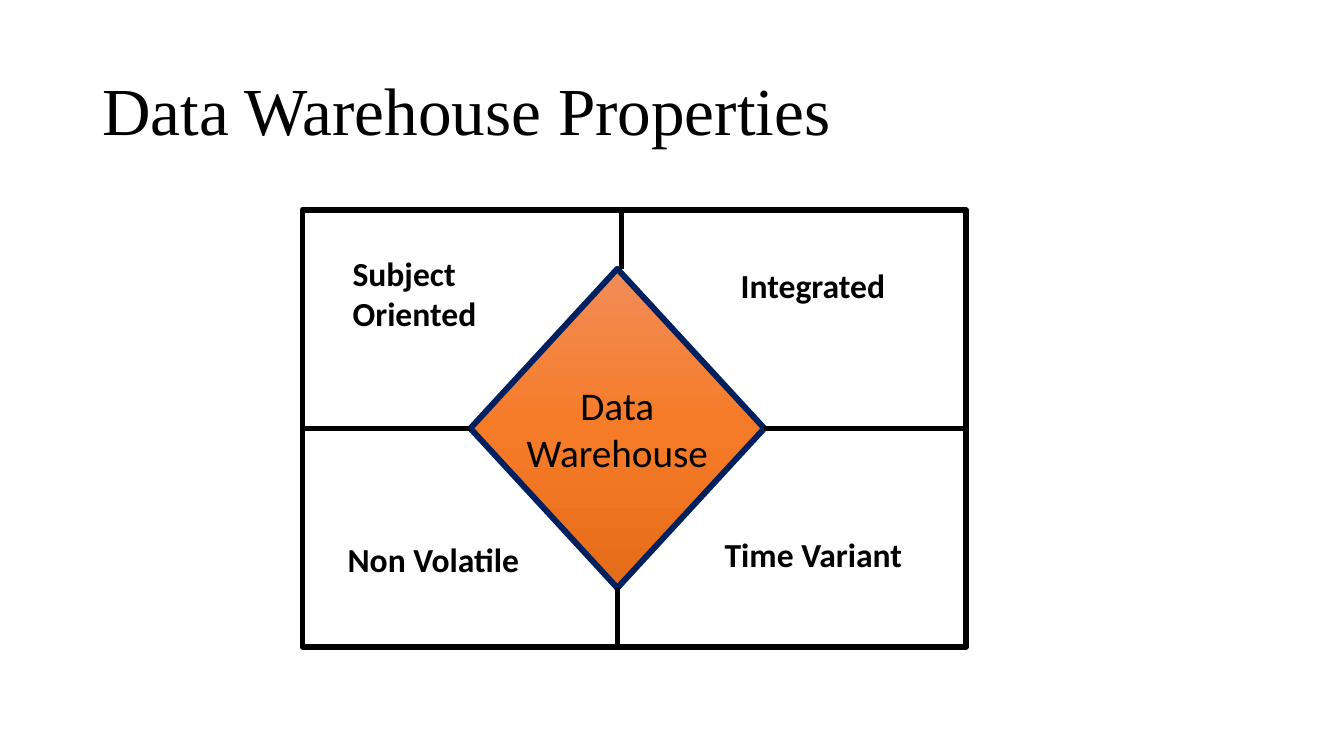
from copy import deepcopy

from lxml import etree
from pptx import Presentation
from pptx.dml.color import RGBColor
from pptx.enum.shapes import MSO_CONNECTOR, MSO_SHAPE
from pptx.enum.text import MSO_ANCHOR, MSO_AUTO_SIZE, PP_ALIGN
from pptx.oxml.ns import qn
from pptx.util import Pt

STRAIGHT = MSO_CONNECTOR.STRAIGHT
RECTANGLE = MSO_SHAPE.RECTANGLE
DECISION = MSO_SHAPE.FLOWCHART_DECISION
MIDDLE = MSO_ANCHOR.MIDDLE
FIT_SHAPE = MSO_AUTO_SIZE.SHAPE_TO_FIT_TEXT
LEFT, CENTER = PP_ALIGN.LEFT, PP_ALIGN.CENTER

BLACK = RGBColor(0x00, 0x00, 0x00)
NAVY = RGBColor(0x00, 0x20, 0x60)
ORANGES = (
    RGBColor(0xF1, 0x8C, 0x57),
    RGBColor(0xF6, 0x7B, 0x28),
    RGBColor(0xE5, 0x6C, 0x19),
)


class PropertySlide:
    heading_font = "Times New Roman"
    label_font = "Calibri"
    rule_width = 4

    def __init__(self, slide):
        self.slide = slide

    def set_text(self, frame, text, font, size, align=LEFT, bold=False):
        frame.text = text
        for paragraph in frame.paragraphs:
            paragraph.alignment = align
            for run in paragraph.runs:
                run.font.name = font
                run.font.size = Pt(size)
                run.font.bold = bold
                run.font.color.rgb = BLACK

    def title(self, text, left, top, width, height):
        heading = self.slide.shapes.title
        heading.left, heading.top = Pt(left), Pt(top)
        heading.width, heading.height = Pt(width), Pt(height)
        self.set_text(heading.text_frame, text, self.heading_font, 48)
        heading.text_frame.vertical_anchor = MIDDLE
        heading.text_frame.paragraphs[0].line_spacing = 0.9

    def outline(self, kind, left, top, width, height, color, weight):
        shape = self.slide.shapes.add_shape(
            kind, Pt(left), Pt(top), Pt(width), Pt(height))
        shape.shadow.inherit = False
        shape.fill.background()
        shape.line.color.rgb = color
        shape.line.width = Pt(weight)
        return shape

    def diamond(self, text, left, top, width, height):
        core = self.outline(DECISION, left, top, width, height, NAVY, 4.25)
        core.fill.gradient()
        core.fill.gradient_angle = 270
        # A third stop turns the two-colour gradient into three
        first_stop = next(core._element.spPr.iter(qn("a:gs")))
        first_stop.addnext(deepcopy(first_stop))
        for index, stop in enumerate(core.fill.gradient_stops):
            stop.color.rgb = ORANGES[index]
            stop.position = index / 2
        core.text_frame.word_wrap = False
        core.text_frame.vertical_anchor = MIDDLE
        self.set_text(core.text_frame, text, self.label_font, 28, CENTER)

    def rule(self, x1, y1, x2, y2):
        divider = self.slide.shapes.add_connector(
            STRAIGHT, Pt(x1), Pt(y1), Pt(x2), Pt(y2))
        divider.line.color.rgb = BLACK
        divider.line.width = Pt(self.rule_width)
        etree.SubElement(divider._element.spPr, qn("a:effectLst"))

    def label(self, text, left, top, width, height):
        frame = self.slide.shapes.add_textbox(
            Pt(left), Pt(top), Pt(width), Pt(height)).text_frame
        frame.word_wrap = False
        frame.auto_size = FIT_SHAPE
        self.set_text(frame, text, self.label_font, 24, bold=True)


def main():
    deck = Presentation()
    deck.slide_width, deck.slide_height = Pt(960), Pt(540)
    page = PropertySlide(deck.slides.add_slide(deck.slide_layouts[5]))

    page.title("Data Warehouse Properties", 66, 28.75, 828, 104.4)

    # Frame with the diamond near its centre
    frame_left, frame_top, frame_width, frame_height = 216, 150, 474, 312
    frame_right = frame_left + frame_width
    frame_bottom = frame_top + frame_height
    core_left, core_top, core_width, core_height = 336, 192, 210, 228
    core_right, core_bottom = core_left + core_width, core_top + core_height
    middle_x = core_left + core_width / 2
    middle_y = core_top + core_height / 2
    page.outline(RECTANGLE, frame_left, frame_top, frame_width, frame_height,
                 BLACK, page.rule_width)
    page.diamond("Data\nWarehouse", core_left, core_top, core_width, core_height)

    # Dividers from the diamond to the frame
    page.rule(core_right, middle_y, frame_right, middle_y)
    page.rule(middle_x, core_bottom, middle_x, frame_bottom)
    page.rule(middle_x + 3, core_top, middle_x + 3, frame_top)
    page.rule(core_left, middle_y, frame_left, middle_y)

    # One property in each quarter
    for prop, left, top, width, height in (
        ("Integrated", 522, 186, 118.8, 36),
        ("Time Variant", 510.5, 378, 142.5, 36),
        ("Non Volatile", 241.2, 381.6, 138.2, 36),
        ("Subject\nOriented", 244.8, 177.1, 103.7, 65.5),
    ):
        page.label(prop, left, top, width, height)

    deck.save("out.pptx")


if __name__ == "__main__":
    main()
